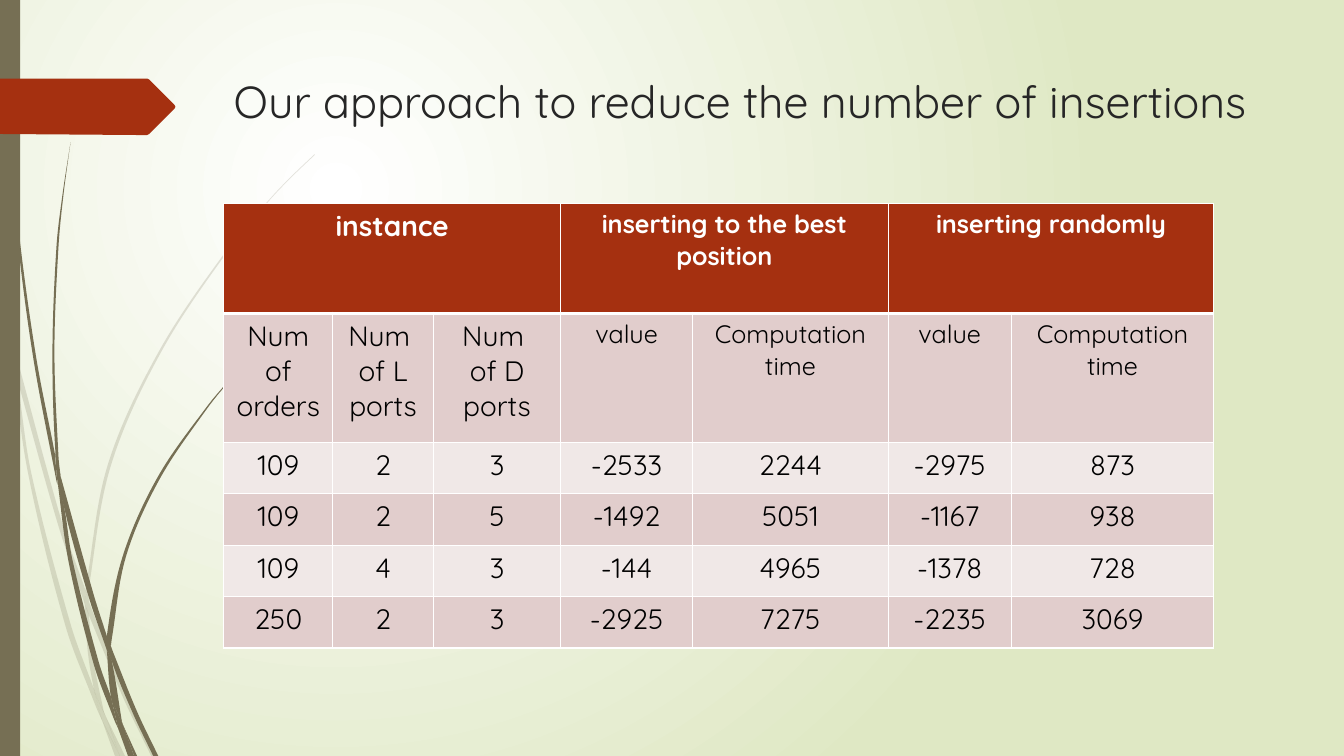
import math

from lxml import etree
from pptx import Presentation
from pptx import util as u
from pptx.dml.color import RGBColor
from pptx.enum import shapes, text
from pptx.oxml import ns

HUES = {"white": "FFFFFF", "lime": "DFE8C4", "olive": "766F54", "rust": "A53010",
        "ink": "262626", "black": "000000", "rose": "E1CDCC", "pale": "F0E8E7"}
FONT = "Quicksand"

# Grass pieces: x y pairs in inches, the two edges split by a bar
FAINT = [
    "0.11 3.5 0.09 3.22 0 2.82 | 0 2.99 0.1 3.44 0.11 3.5",
    "0.14 3.45 0.62 5.2 0.85 5.86 | 0.84 5.99 0.58 5.22 0.17 3.76",
    "0.88 5.96 0.92 6.07 1.27 6.92 1.55 7.5 | 1.5 7.5 1.23 6.94 0.88 6.1",
    "1.19 7.5 1.05 7.11 | 1.05 7.11 1.24 7.5",
    "0.11 3.5 0.17 3.76 0.31 4.69 0.7 6.19 0.93 6.83 | "
    "0.99 7.07 1.01 7.14 0.92 6.93 0.65 6.21 0.28 4.7 0.11 3.5",
    "0.84 5.99 0.87 6.46 0.93 6.83 0.96 6.92 1.05 7.11 | "
    "1.05 7.11 1.03 7.06 0.91 6.46 0.88 6.1 0.84 5.99",
    "0.88 5.96 0.88 5.84 1.1 4.62 1.6 3.49 2.29 2.45 2.68 1.98 2.9 1.75 3.12 1.54 | "
    "3.12 1.53 2.89 1.75 2.68 1.97 2.28 2.44 1.58 3.48 1.07 4.61 0.85 5.84 0.85 5.86",
    "1.01 7.14 1.14 7.5 | 1.19 7.5 1.01 7.14",
    "0.84 5.99 0.85 5.86 | 0.88 5.96 0.88 6.1",
    "0.93 6.83 0.99 7.07 1.01 7.14 1.19 7.5 | 1.19 7.5 1.05 7.11 0.96 6.92 0.93 6.83",
]
DARK = [
    "0.03 0 0.04 0.48 0.07 1.1 0.17 2.33 0.33 3.55 0.56 4.77 0.57 4.81 | "
    "0.55 4.57 0.55 4.53 0.36 3.55 0.19 2.32 0.08 1.09 0.05 0.48 0.04 0",
    "0.6 4.72 0.93 5.9 1.06 6.31 | 1.06 6.45 0.88 5.92 0.64 5.05 0.6 4.72",
    "1.1 6.41 1.13 6.49 1.36 7.06 1.57 7.5 | 1.52 7.5 1.32 7.08 1.11 6.56 1.1 6.41",
    "0.57 4.77 0.64 5.05 0.72 5.56 0.98 6.57 1.1 6.91 | "
    "1.16 7.17 1.17 7.22 1.11 7.08 0.93 6.59 0.68 5.57 0.57 4.77",
    "0.6 4.72 0.58 4.53 0.54 3.49 0.58 2.45 0.63 1.93 0.7 1.41 | "
    "0.7 1.41 0.62 1.93 0.56 2.45 0.52 3.49 0.55 4.49 0.6 4.72",
    "1.33 7.5 1.22 7.19 | 1.22 7.19 1.36 7.5",
    "0.55 4.49 0.55 4.53 0.57 4.77 0.64 5.05 | 0.64 5.05 0.6 4.72 0.55 4.49",
    "1.1 6.41 1.11 6.33 1.25 5.52 1.58 4.76 2.05 4.06 2.31 3.74 2.45 3.59 2.61 3.44 | "
    "2.6 3.44 2.45 3.58 2.31 3.73 2.04 4.05 1.56 4.74 1.22 5.51 1.06 6.31 1.1 6.41",
    "1.17 7.22 1.27 7.5 | 1.31 7.5 1.17 7.22",
    "1.06 6.45 1.1 6.91 1.16 7.06 1.22 7.19 | 1.21 7.16 1.11 6.56 1.06 6.45",
    "1.06 6.31 1.06 6.45 | 1.11 6.56 1.1 6.41 1.06 6.31",
    "1.1 6.91 1.16 7.17 1.17 7.22 1.3 7.5 | 1.33 7.5 1.22 7.19 1.16 7.06 1.1 6.91",
]

COLS = [1.08, 1, 1.26, 1.31, 1.94, 1.22, 2.01]
ROWS = [1.09, 1.28] + [0.51] * 4
HEADS = [(0, 2, "instance", 20), (3, 4, "inserting to the best position", 18),
         (5, 6, "inserting randomly", 18)]
BODY = [
    ["Num of orders", "Num \nof L ports", "Num \nof D ports", "value",
     "Computation time", "value", "Computation time"],
    [109, 2, 3, -2533, 2244, -2975, 873],
    [109, 2, 5, -1492, 5051, -1167, 938],
    [109, 4, 3, -144, 4965, -1378, 728],
    [250, 2, 3, -2925, 7275, -2235, 3069],
]


def rgb(hue):
    return RGBColor.from_string(HUES[hue])


def write(frame, words, size=20, hue="black", bold=False, align=text.PP_ALIGN.CENTER):
    frame.word_wrap = True
    frame.text = str(words)
    for para in frame.paragraphs:
        para.alignment = align
        for run in para.runs:
            run.font.name, run.font.size = FONT, u.Pt(size)
            run.font.bold, run.font.color.rgb = bold, rgb(hue)


def paint(shape, hue, alpha=100):
    shape.shadow.inherit = False
    shape.line.fill.background()
    shape.fill.solid()
    shape.fill.fore_color.rgb = rgb(hue)
    if alpha < 100:
        tone = shape._element.spPr.find(".//" + ns.qn("a:srgbClr"))
        etree.SubElement(tone, ns.qn("a:alpha"), val=str(alpha * 1000))


def outline(parent, pts, hue, alpha=100):
    pts = [(u.Inches(x), u.Inches(y)) for x, y in pts]
    pen = parent.build_freeform(*pts[0])
    pen.add_line_segments(pts[1:], close=True)
    shape = pen.convert_to_shape()
    paint(shape, hue, alpha)
    return shape


def handle(knot, back, ahead, reach):
    """Control point: a third of reach from the knot, along back to ahead."""
    scale = reach / 3 / (math.dist(back, ahead) or 1)
    return [k + (a - b) * scale for k, b, a in zip(knot, back, ahead)]


def bend(shape, edges):
    """Turn the straight parts of each edge (first, last) into curves."""
    root = shape._element
    pts = [(int(p.get("x")), int(p.get("y"))) for p in root.iter(ns.qn("a:pt"))]
    lines = list(root.iter(ns.qn("a:lnTo")))
    for first, last in edges:
        for i in range(first, last):
            a, b = pts[i], pts[i + 1]
            prev, after = pts[max(i - 1, first)], pts[min(i + 2, last)]
            reach = math.dist(a, b)
            curve = etree.Element(ns.qn("a:cubicBezTo"))
            for x, y in (handle(a, prev, b, reach), handle(b, after, a, reach), b):
                etree.SubElement(curve, ns.qn("a:pt"), x=str(round(x)), y=str(round(y)))
            lines[i].getparent().replace(lines[i], curve)


def grass(slide, blades, alpha):
    group = slide.shapes.add_group_shape()
    for blade in blades:
        pts, edges = [], []
        for edge in blade.split("|"):
            nums = [float(n) for n in edge.split()]
            first = len(pts)
            pts += zip(nums[::2], nums[1::2])
            edges.append((first, len(pts) - 1))
        bend(outline(group.shapes, pts, "olive", alpha), edges)


def backdrop(slide):
    fill = slide.background.fill
    fill.gradient()
    for stop, hue in zip(fill.gradient_stops, ("white", "lime")):
        stop.color.rgb = rgb(hue)
    grad = slide._element.find(".//" + ns.qn("a:gradFill"))
    grad.remove(grad.find(ns.qn("a:lin")))
    ring = etree.SubElement(grad, ns.qn("a:path"), path="circle")
    etree.SubElement(ring, ns.qn("a:fillToRect"),
                     l="50000", t="50000", r="100000", b="100000")


def border(cell, **widths):
    props = cell._tc.get_or_add_tcPr()
    for i, (side, width) in enumerate(widths.items()):
        line = etree.Element(ns.qn("a:ln" + side), w=str(u.Pt(width)))
        solid = etree.SubElement(line, ns.qn("a:solidFill"))
        etree.SubElement(solid, ns.qn("a:srgbClr"), val=HUES["white"])
        props.insert(i, line)


def grid(slide):
    table = slide.shapes.add_table(
        len(ROWS), len(COLS), u.Inches(2.22), u.Inches(2.02),
        u.Inches(sum(COLS)), u.Inches(sum(ROWS))).table
    for col, width in zip(table.columns, COLS):
        col.width = u.Inches(width)
    for row, height in zip(table.rows, ROWS):
        row.height = u.Inches(height)

    # Fills and borders
    for r in range(len(ROWS)):
        for c in range(len(COLS)):
            cell = table.cell(r, c)
            cell.fill.solid()
            cell.fill.fore_color.rgb = rgb("rust" if r == 0 else "rose" if r % 2 else "pale")
            border(cell, L=1, R=1, T=3 if r == 1 else 1, B=3 if r == 0 else 1)

    # Header groups, then the rows below
    for first, last, words, size in HEADS:
        cell = table.cell(0, first)
        cell.merge(table.cell(0, last))
        write(cell.text_frame, words, size=size, hue="white", bold=True)
    for r, row in enumerate(BODY, 1):
        for c, words in enumerate(row):
            size = 18 if r == 1 and c > 2 else 20
            write(table.cell(r, c).text_frame, words, size=size)


def main():
    deck = Presentation()
    deck.slide_width, deck.slide_height = u.Inches(13.33), u.Inches(7.5)
    slide = deck.slides.add_slide(deck.slide_layouts[6])

    # Backdrop, grass, side bar and ribbon
    backdrop(slide)
    grass(slide, FAINT, 20)
    grass(slide, DARK, 100)
    bar = slide.shapes.add_shape(shapes.MSO_SHAPE.RECTANGLE, 0, 0, u.Inches(0.2), u.Inches(7.5))
    paint(bar, "olive")
    outline(slide.shapes, [(0, 0.78), (1.46, 0.78), (1.48, 0.79), (1.73, 1.04), (1.74, 1.06),
                           (1.73, 1.08), (1.48, 1.33), (1.46, 1.34), (1.36, 1.34), (0, 1.33)],
            "rust")

    # Title and table
    title = slide.shapes.add_textbox(u.Inches(2.22), u.Inches(0.68),
                                     u.Inches(10.96), u.Inches(1.04))
    write(title.text_frame, "Our approach to reduce the number of insertions",
          size=32, hue="ink", align=text.PP_ALIGN.LEFT)
    grid(slide)
    deck.save("out.pptx")


if __name__ == "__main__":
    main()
